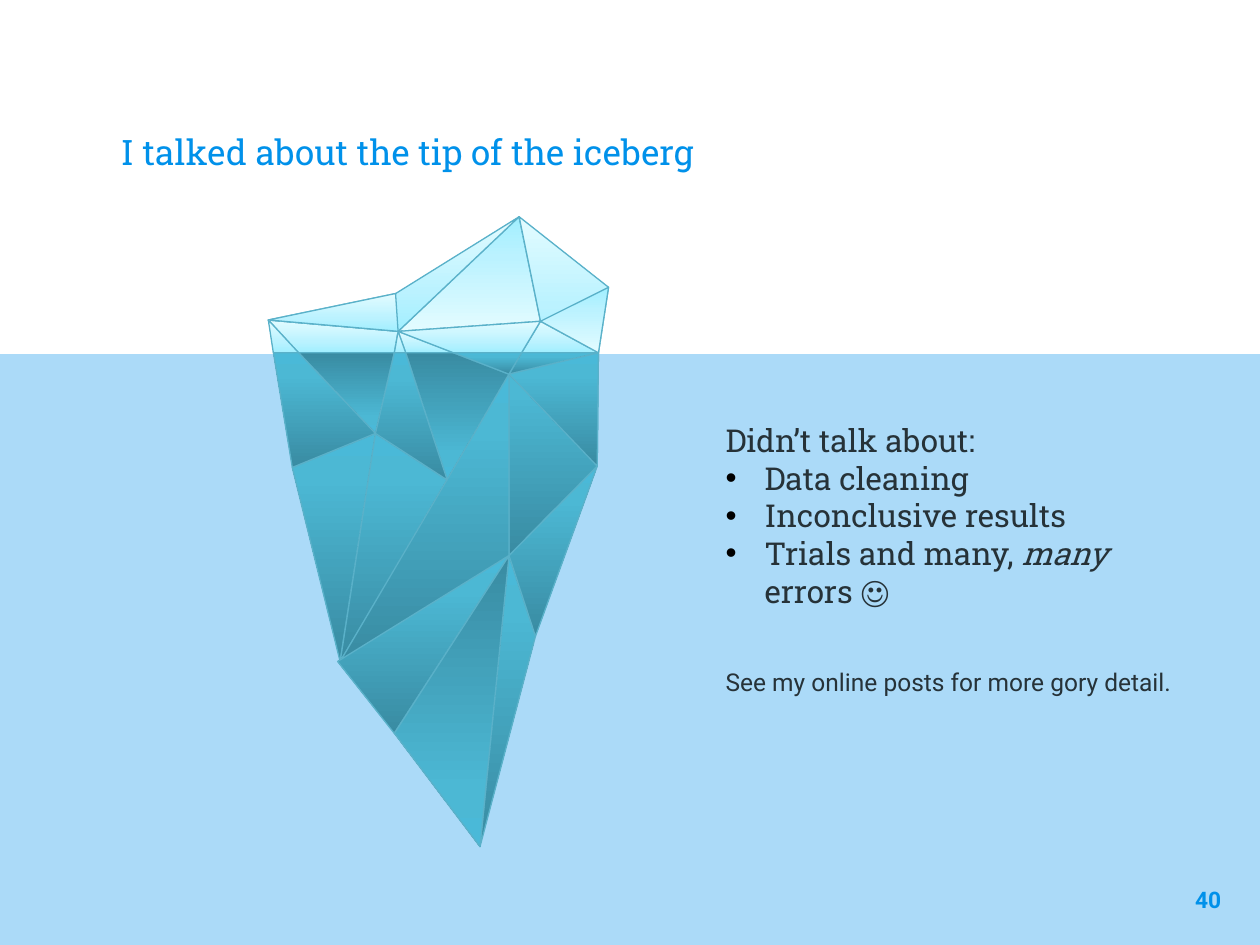
from dataclasses import dataclass

from lxml.etree import SubElement
from pptx import Presentation
from pptx.dml.color import RGBColor
from pptx.enum.shapes import MSO_SHAPE as Shape
from pptx.enum.text import MSO_ANCHOR as Anchor, PP_ALIGN as Align
from pptx.oxml.ns import qn
from pptx.util import Inches, Pt

COLORS = {"blue": "0091EA", "ink": "263238", "bullet": "000000", "edge": "5AB1C9"}
GRADIENTS = {
    "ice": [(0, "A1EFFF"), (35, "BBF2FF"), (100, "E3FCFF")],
    "deep": [(0, "398BA2"), (80, "4CB8D4"), (100, "4AB9D8")],
}
UP, DOWN = 90, 270  # direction in which a gradient runs, counter-clockwise degrees

WATERLINE = 2.8
VERTICES = {
    # above the water
    "peak": (4.12, 1.72), "east": (4.83, 2.28), "west": (2.13, 2.54),
    "ridge": (3.14, 2.33), "saddle": (3.16, 2.63), "inner": (4.29, 2.55),
    # below the water
    "hub": (4.04, 2.97), "right": (4.74, 3.7), "core": (4.04, 4.41),
    "notch": (2.98, 3.44), "dent": (3.55, 3.81), "left": (2.32, 3.71),
    "heel": (2.7, 5.25), "corner": (2.68, 5.25), "keel": (3.13, 5.82),
    "flank": (4.25, 5.05), "tip": (3.81, 6.72),
}
# points w1 to w7 on the waterline, from left to right
VERTICES |= {f"w{number}": (x, WATERLINE) for number, x in
             enumerate((2.17, 2.37, 3.13, 3.22, 3.6, 4.14, 4.75), start=1)}


@dataclass
class Facet:
    corners: str
    gradient: str
    direction: int = UP


FACETS = [
    Facet("w7 west w2", "ice"),
    Facet("peak saddle inner", "ice", DOWN),
    Facet("peak east w7 inner", "ice"),
    Facet("saddle w3 w2 west", "ice"),
    Facet("peak saddle west ridge", "ice"),
    Facet("inner w7 w6", "ice"),
    Facet("w4 saddle w5", "ice"),
    Facet("west w2 w1", "ice"),
    Facet("ridge saddle west", "ice"),
    Facet("east inner w7", "ice", DOWN),
    Facet("w4 saddle w3", "ice"),
    Facet("w7 right core hub", "deep"),
    Facet("notch heel left", "deep"),
    Facet("w3 notch w2", "deep", DOWN),
    Facet("core flank tip", "deep"),
    Facet("w7 hub w6", "deep"),
    Facet("dent w4 w5 hub", "deep", DOWN),
    Facet("dent notch heel", "deep"),
    Facet("hub heel core", "deep"),
    Facet("w2 notch left w1", "deep"),
    Facet("w7 hub right", "deep"),
    Facet("notch dent w4 w3", "deep"),
    Facet("corner core keel", "deep"),
    Facet("keel tip core", "deep", DOWN),
    Facet("right flank core", "deep"),
    Facet("saddle inner w6 w5", "ice"),
    Facet("hub w6 w5", "deep"),
]

TITLE = {"name": "Roboto Slab", "size": Pt(20), "bold": False}
BODY = {"name": "Roboto Slab", "size": Pt(18)}
FOOTNOTE = {"name": "Roboto", "size": Pt(14)}
PAGE_NUMBER = {"name": "Roboto", "size": Pt(13), "bold": True}

OMITTED = [
    [("Data cleaning", False)],
    [("Inconclusive results", False)],
    [("Trials and many, ", False), ("many", True), (" errors ☺", False)],
]


def rgb(name: str) -> RGBColor:
    return RGBColor.from_string(COLORS[name])


def format_font(font, style: dict, color: str) -> None:
    for attribute, value in style.items():
        setattr(font, attribute, value)
    font.color.rgb = rgb(color)


def set_margins(frame, vertical: float) -> None:
    frame.margin_left = frame.margin_right = Inches(0.1)
    frame.margin_top = frame.margin_bottom = Inches(vertical)


def add_text_frame(slide, box: tuple, vertical_margin: float):
    frame = slide.shapes.add_textbox(*map(Inches, box)).text_frame
    frame.word_wrap = True
    set_margins(frame, vertical_margin)
    return frame


def add_bullet(paragraph) -> None:
    properties = paragraph._p.get_or_add_pPr()
    properties.set("marL", str(Inches(0.31)))
    properties.set("indent", str(Inches(-0.31)))
    color = SubElement(properties, qn("a:buClr"))
    SubElement(color, qn("a:srgbClr"), val=COLORS["bullet"])
    SubElement(properties, qn("a:buFont"), typeface="Arial")
    SubElement(properties, qn("a:buChar"), char="•")


def add_title(slide) -> None:
    title = slide.shapes.title
    title.left, title.top, title.width, title.height = map(Inches, (0.86, 0.45, 8.28, 1.02))
    frame = title.text_frame
    frame.text = "I talked about the tip of the iceberg"
    frame.vertical_anchor = Anchor.BOTTOM
    set_margins(frame, 0.1)
    frame.paragraphs[0].alignment = Align.LEFT
    format_font(frame.paragraphs[0].runs[0].font, TITLE, "blue")


def add_sea(slide) -> None:
    sea = slide.shapes.add_shape(Shape.RECTANGLE, *map(Inches, (0, 2.81, 10, 4.69)))
    sea.shadow.inherit = False
    sea.line.fill.background()
    sea.fill.solid()
    sea.fill.fore_color.rgb = rgb("blue")
    color = sea._element.spPr.find(f".//{qn('a:srgbClr')}")
    SubElement(color, qn("a:alpha"), val="33000")


def add_facet(slide, facet: Facet):
    start, *others = [tuple(map(Inches, VERTICES[name])) for name in facet.corners.split()]
    builder = slide.shapes.build_freeform(*start)
    builder.add_line_segments(others, close=True)
    face = builder.convert_to_shape()
    face.shadow.inherit = False
    face.line.color.rgb = rgb("edge")
    face.line.width = Pt(0.75)
    face.fill.gradient()
    face.fill.gradient_angle = facet.direction
    stops = face._element.spPr.find(f".//{qn('a:gsLst')}")
    stops.clear()
    for position, color in GRADIENTS[facet.gradient]:
        stop = SubElement(stops, qn("a:gs"), pos=str(position * 1000))
        SubElement(stop, qn("a:srgbClr"), val=color)
    return face


def add_omissions(slide) -> None:
    frame = add_text_frame(slide, (5.66, 3.29, 3.89, 3.7), 0.05)
    heading = frame.paragraphs[0].add_run()
    heading.text = "Didn’t talk about:"
    format_font(heading.font, BODY, "ink")
    for pieces in OMITTED:
        item = frame.add_paragraph()
        add_bullet(item)
        for text, italic in pieces:
            run = item.add_run()
            run.text = text
            format_font(run.font, BODY | {"italic": italic}, "ink")
    footnote = frame.add_paragraph()
    footnote.space_before = Pt(33)
    reference = footnote.add_run()
    reference.text = "See my online posts for more gory detail."
    format_font(reference.font, FOOTNOTE, "ink")


def add_page_number(slide) -> None:
    paragraph = add_text_frame(slide, (9.19, 6.93, 0.6, 0.57), 0.1).paragraphs[0]
    paragraph.alignment = Align.RIGHT
    number = paragraph.add_run()
    number.text = "40"
    format_font(number.font, PAGE_NUMBER, "blue")


def main() -> None:
    deck = Presentation()
    deck.slide_width, deck.slide_height = Inches(10), Inches(7.5)
    slide = deck.slides.add_slide(deck.slide_layouts[5])
    add_title(slide)
    add_sea(slide)
    slide.shapes.add_group_shape([add_facet(slide, facet) for facet in FACETS])
    add_omissions(slide)
    add_page_number(slide)
    deck.save("out.pptx")


if __name__ == "__main__":
    main()
